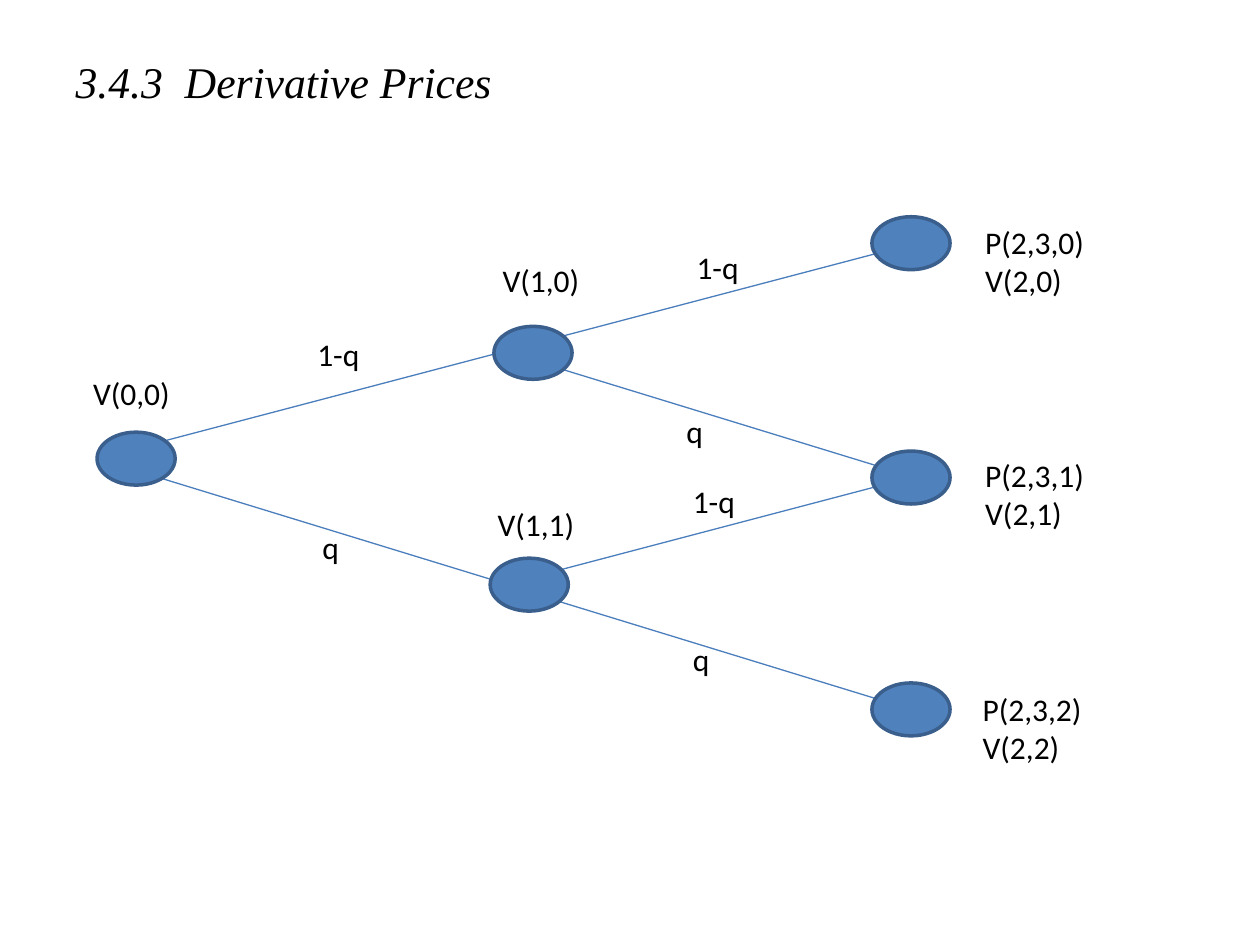
from dataclasses import dataclass

from lxml import etree
from pptx import Presentation
from pptx.dml.color import RGBColor
from pptx.enum.shapes import MSO_CONNECTOR, MSO_SHAPE
from pptx.enum.text import MSO_ANCHOR, PP_ALIGN
from pptx.oxml.ns import qn
from pptx.util import Inches, Pt

STRAIGHT = MSO_CONNECTOR.STRAIGHT
OVAL = MSO_SHAPE.OVAL
LEFT = PP_ALIGN.LEFT
MIDDLE = MSO_ANCHOR.MIDDLE
TOP = MSO_ANCHOR.TOP

COLORS = {"text": "000000", "edge": "4B7EBC", "node": "4F81BD", "outline": "3A5F8C"}
NODE_WIDTH, NODE_HEIGHT = 0.62, 0.42
STEP, RISE, FALL = 3.23, -0.85, 0.99
LINE_HEIGHT, PADDING = 0.31, 0.09


@dataclass
class Node:
    left: float
    top: float
    label: str
    label_left: float
    label_top: float


@dataclass
class Branch:
    x: float
    y: float
    slope: float
    probability: str
    label_left: float
    label_top: float


NODES = [
    Node(0.77, 3.43, "V(0,0)", 0.64, 2.92),
    Node(3.92, 2.59, "V(1,0)", 3.89, 2.02),
    Node(3.89, 4.43, "V(1,1)", 3.85, 3.96),
    Node(6.92, 1.72, "P(2,3,0)\nV(2,0)", 7.72, 1.72),
    Node(6.92, 3.58, "P(2,3,1)\nV(2,1)", 7.72, 3.57),
    Node(6.92, 5.42, "P(2,3,2)\nV(2,2)", 7.7, 5.43),
]
BRANCHES = [
    Branch(0.77, 3.64, RISE, "1-q", 2.42, 2.61),
    Branch(0.77, 3.64, FALL, "q", 2.46, 4.14),
    Branch(4, 2.79, RISE, "1-q", 5.43, 1.92),
    Branch(4, 2.79, FALL, "q", 5.35, 3.22),
    Branch(4, 4.64, RISE, "1-q", 5.4, 3.78),
    Branch(4, 4.64, FALL, "q", 5.4, 5.03),
]


def color(key: str) -> RGBColor:
    return RGBColor.from_string(COLORS[key])


def write(frame, text: str, *, size: float = 18, font: str = "Calibri",
          italic: bool = False, anchor=TOP) -> None:
    frame.word_wrap = True
    frame.vertical_anchor = anchor
    frame.text = text
    for paragraph in frame.paragraphs:
        paragraph.alignment = LEFT
        paragraph.font.size = Pt(size)
        paragraph.font.name = font
        paragraph.font.italic = italic
        paragraph.font.color.rgb = color("text")


def add_label(slide, text: str, left: float, top: float, width: float) -> None:
    height = PADDING + LINE_HEIGHT * len(text.split("\n"))
    label = slide.shapes.add_textbox(Inches(left), Inches(top), Inches(width), Inches(height))
    write(label.text_frame, text)


def draw_branch(slide, branch: Branch) -> None:
    edge = slide.shapes.add_connector(
        STRAIGHT, Inches(branch.x), Inches(branch.y),
        Inches(branch.x + STEP), Inches(branch.y + branch.slope))
    edge.line.color.rgb = color("edge")
    edge.line.width = Pt(0.75)
    etree.SubElement(edge._element.spPr, qn("a:effectLst"))


def draw_node(slide, node: Node) -> None:
    oval = slide.shapes.add_shape(
        OVAL, Inches(node.left), Inches(node.top), Inches(NODE_WIDTH), Inches(NODE_HEIGHT))
    oval.shadow.inherit = False
    oval.fill.solid()
    oval.fill.fore_color.rgb = color("node")
    oval.line.color.rgb = color("outline")
    oval.line.width = Pt(2)


def main() -> None:
    deck = Presentation()
    deck.slide_width, deck.slide_height = Inches(10), Inches(7.5)
    slide = deck.slides.add_slide(deck.slide_layouts[5])

    title = slide.shapes.title
    title.left, title.top = Inches(0.5), Inches(0.3)
    title.width, title.height = Inches(7.1), Inches(0.69)
    write(title.text_frame, "3.4.3  Derivative Prices", size=25,
          font="Times New Roman", italic=True, anchor=MIDDLE)

    for branch in BRANCHES:
        draw_branch(slide, branch)
    for node in NODES:
        draw_node(slide, node)
        add_label(slide, node.label, node.label_left, node.label_top, 2.28)
    for branch in BRANCHES:
        add_label(slide, branch.probability, branch.label_left, branch.label_top, 1)

    deck.save("out.pptx")


if __name__ == "__main__":
    main()
